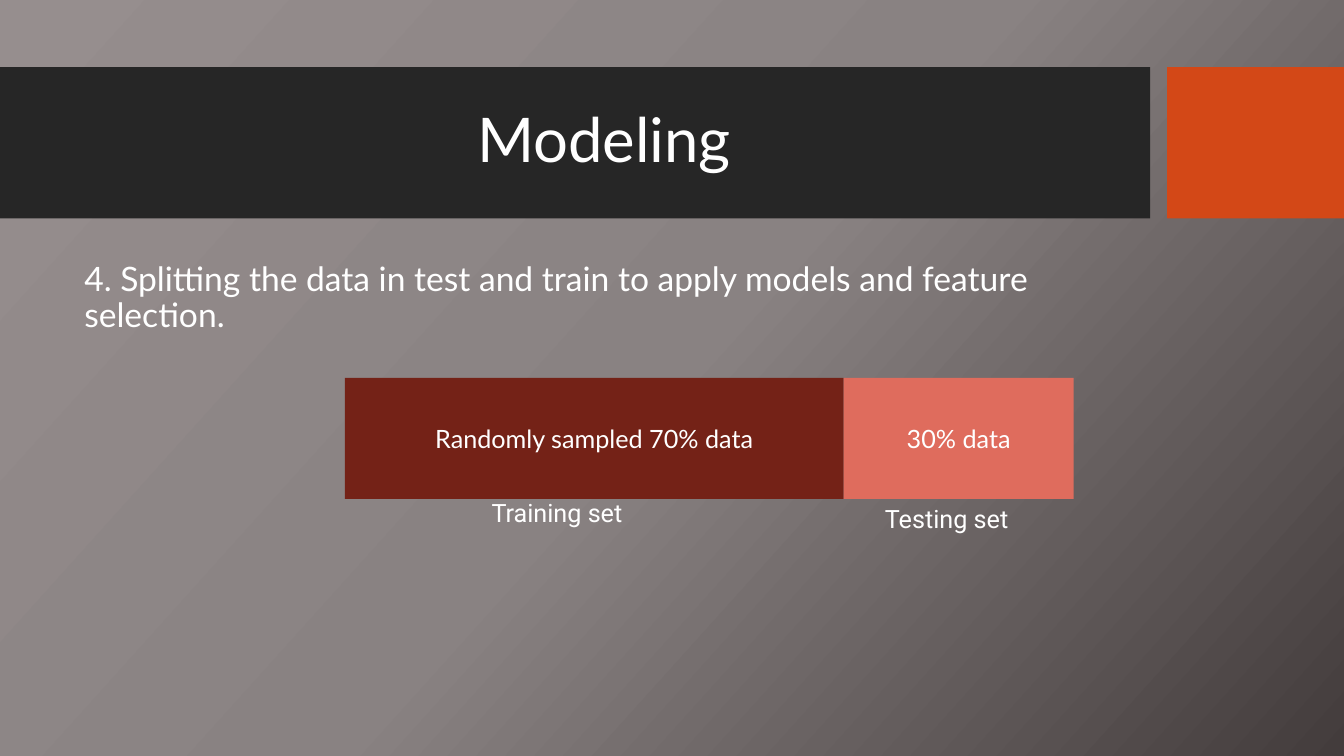
from copy import deepcopy

from pptx import Presentation
from pptx import util as u
from pptx.dml import color
from pptx.enum import shapes, text
from pptx.oxml import ns

COLOURS = {
    "white": "FFFFFF",
    "band": "262626",
    "accent": "D34817",
    "training": "742217",
    "testing": "DF6C5D",
}
BACKDROP = [(0, "968E8E"), (0.5, "898282"), (1, "433C3C")]


def rgb(name):
    return color.RGBColor.from_string(COLOURS[name])


def place(item, left, top, width, height):
    item.left, item.top = u.Pt(left), u.Pt(top)
    item.width, item.height = u.Pt(width), u.Pt(height)


def write(frame, words, size, font="Lato", align=None):
    para = frame.paragraphs[0]
    para.alignment = align
    span = para.add_run()
    span.text = words
    span.font.size = u.Pt(size)
    span.font.name = font
    span.font.color.rgb = rgb("white")
    return para


def paint_background(page):
    fill = page.background.fill
    fill.gradient()
    fill.gradient_angle = 360 - 42
    stop_list = page.element.find(".//" + ns.qn("a:gsLst"))
    stop_list.append(deepcopy(stop_list[-1]))
    for stop, (position, value) in zip(fill.gradient_stops, BACKDROP):
        stop.position = position
        stop.color.rgb = color.RGBColor.from_string(value)


def add_block(parent, colour, left, top, width, height):
    block = parent.add_shape(
        shapes.MSO_SHAPE.RECTANGLE,
        u.Pt(left), u.Pt(top), u.Pt(width), u.Pt(height),
    )
    block.shadow.inherit = False
    block.fill.solid()
    block.fill.fore_color.rgb = rgb(colour)
    block.line.fill.background()
    return block


def add_header_band(page):
    band = add_block(page.shapes, "band", 0, 48, 821.5, 108)
    accent = add_block(page.shapes, "accent", 833.75, 48, 126.25, 108)
    tree = band.element.getparent()
    for index, block in enumerate((band, accent), start=2):
        tree.insert(index, block.element)


def fill_title(page, words):
    title = page.shapes.title
    place(title, 53, 59, 757, 85)
    title.text_frame.auto_size = text.MSO_AUTO_SIZE.NONE
    title.text_frame.vertical_anchor = text.MSO_ANCHOR.MIDDLE
    para = write(title.text_frame, words, 44, align=text.PP_ALIGN.CENTER)
    para.line_spacing = 0.9


def fill_body(page, words):
    body = page.placeholders[1]
    place(body, 53, 184, 757, 284)
    body.text_frame.auto_size = text.MSO_AUTO_SIZE.NONE
    para = write(body.text_frame, words, 24, align=text.PP_ALIGN.LEFT)
    para.line_spacing = 0.9
    para.space_before = u.Pt(10)
    properties = para._p.get_or_add_pPr()
    properties.set("marL", "0")
    properties.set("indent", "0")
    properties.append(properties.makeelement(ns.qn("a:buNone"), {}))


def add_split_bar(page, left, top, height, parts):
    group = page.shapes.add_group_shape()
    for colour, width, words in parts:
        block = add_block(group.shapes, colour, left, top, width, height)
        block.text_frame.word_wrap = True
        block.text_frame.vertical_anchor = text.MSO_ANCHOR.MIDDLE
        write(block.text_frame, words, 18, align=text.PP_ALIGN.CENTER)
        left += width


def add_label(page, words, left, top, width):
    box = page.shapes.add_textbox(u.Pt(left), u.Pt(top), u.Pt(width), u.Pt(29))
    box.text_frame.word_wrap = False
    box.text_frame.auto_size = text.MSO_AUTO_SIZE.SHAPE_TO_FIT_TEXT
    write(box.text_frame, words, 18, font="Roboto")


def main():
    deck = Presentation()
    deck.slide_width, deck.slide_height = u.Pt(960), u.Pt(540)
    page = deck.slides.add_slide(deck.slide_layouts[1])
    paint_background(page)
    add_header_band(page)
    fill_title(page, "Modeling")
    fill_body(
        page,
        "4. Splitting the data in test and train to apply models "
        "and feature selection.",
    )
    add_split_bar(page, 246.4, 270, 86.4, [
        ("training", 356.2, "Randomly sampled 70% data"),
        ("testing", 164.4, "30% data"),
    ])
    add_label(page, "Training set ", 344, 352, 110)
    add_label(page, "Testing set ", 625, 356, 104.5)
    deck.save("out.pptx")


main()
